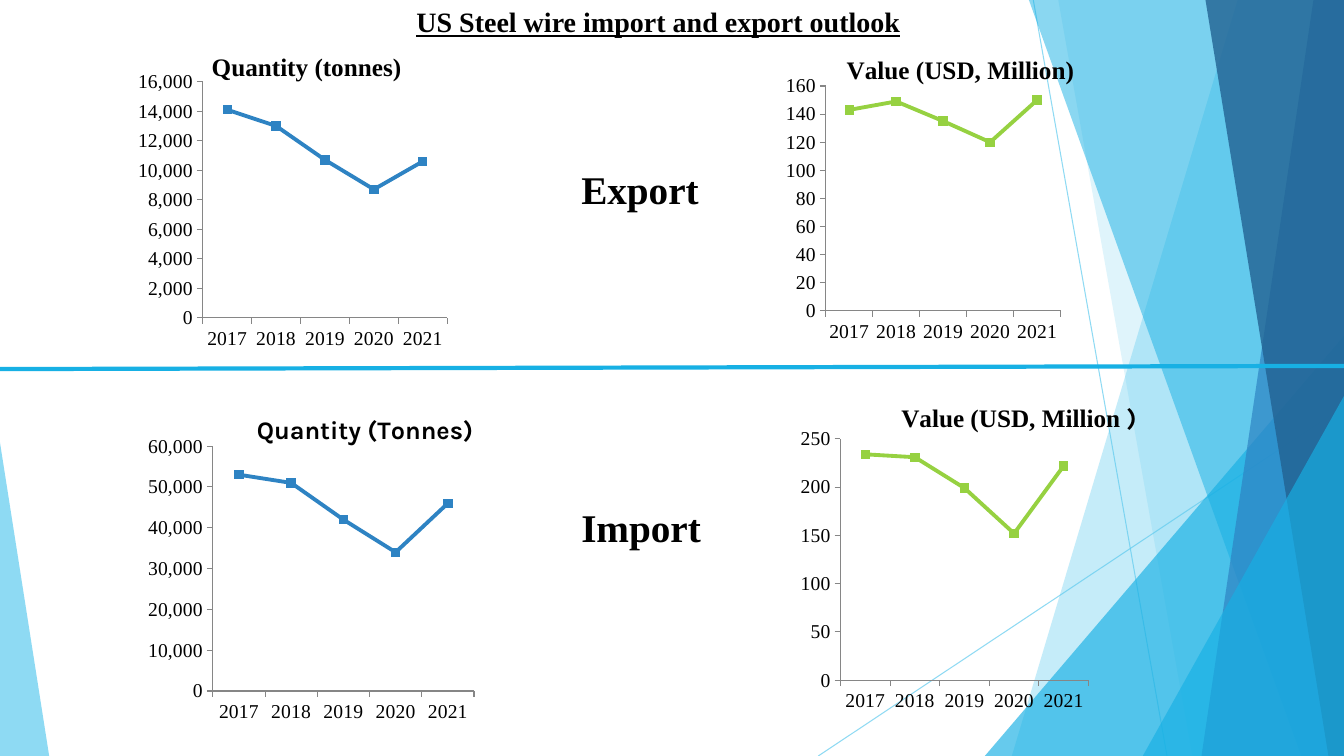
from lxml import etree
from pptx import Presentation, util as u
from pptx.chart import data as chart_data
from pptx.dml import color
from pptx.enum import chart as chart_enum, shapes, text
from pptx.oxml import ns, parse_xml

WIDTH, HEIGHT = 33.87, 19.05
COLORS = {"sky": "5FCBEF", "cyan": "17B0E4", "blue": "2E83C3", "navy": "226292",
          "green": "96D141", "black": "000000", "axis": "868686"}
SERIF, SANS = "Times New Roman", "Karla"
YEARS = ["2017", "2018", "2019", "2020", "2021"]


def rgb(name):
    """Return the palette colour with this name."""
    return color.RGBColor.from_string(COLORS[name])


def assign(target, values):
    """Set every attribute listed in a dict of format values."""
    for name, value in values.items():
        setattr(target, name, value)


class SlidePainter:
    """Hold the text style and the current slide, and draw each kind of element."""

    def __init__(self, slide):
        """Keep the slide and the default font style."""
        self.slide = slide
        self.style = {"name": SERIF, "bold": True}

    def font(self, font, **values):
        """Apply the style, with changes, in black."""
        assign(font, {**self.style, **values})
        font.color.rgb = rgb("black")

    def fade(self, fill, opacity):
        """Make a solid fill partly transparent."""
        for paint in fill.iter(ns.qn("a:srgbClr")):
            etree.SubElement(paint, ns.qn("a:alpha"), val=str(opacity * 1000))

    def paint(self, shape, fill, opacity):
        """Give a decorative shape a translucent fill and no outline."""
        shape.shadow.inherit = False
        shape.fill.solid()
        shape.fill.fore_color.rgb = rgb(fill)
        shape.line.fill.background()
        self.fade(shape.element.spPr, opacity)

    def line(self, start, end, stroke, points, opacity=100):
        """Draw a straight line."""
        ends = [u.Cm(value) for value in (*start, *end)]
        line = self.slide.shapes.add_connector(shapes.MSO_CONNECTOR.STRAIGHT, *ends)
        line.line.width = u.Pt(points)
        line.line.color.rgb = rgb(stroke)
        properties = line.element.spPr
        if opacity < 100:
            self.fade(properties, opacity)
        etree.SubElement(properties, ns.qn("a:effectLst"))

    def band(self, top_left, bottom_left, fill, opacity):
        """Draw a full-height band that reaches the right edge."""
        corners = [(WIDTH, 0), (WIDTH, HEIGHT), (bottom_left, HEIGHT)]
        builder = self.slide.shapes.build_freeform(u.Cm(top_left), 0)
        builder.add_line_segments([(u.Cm(x), u.Cm(y)) for x, y in corners])
        self.paint(builder.convert_to_shape(), fill, opacity)

    def triangle(self, left, top, right, apex, fill, opacity):
        """Draw a triangle standing on the bottom edge."""
        box = [u.Cm(v) for v in (left, top, right - left, HEIGHT - top)]
        shape = self.slide.shapes.add_shape(shapes.MSO_SHAPE.ISOSCELES_TRIANGLE, *box)
        shape.adjustments[0] = apex
        self.paint(shape, fill, opacity)

    def text(self, box, words, size, align=text.PP_ALIGN.LEFT, **values):
        """Write one bold line of text."""
        frame = self.slide.shapes.add_textbox(*map(u.Cm, box)).text_frame
        assign(frame, {"word_wrap": True,
                       "auto_size": text.MSO_AUTO_SIZE.SHAPE_TO_FIT_TEXT})
        paragraph = frame.paragraphs[0]
        paragraph.alignment = align
        run = paragraph.add_run()
        run.text = words
        self.font(run.font, size=u.Pt(size), **values)

    def plot_layout(self, chart, layout):
        """Fix the inner plot area and clear the chart background."""
        area = chart.element.find(".//" + ns.qn("c:plotArea"))
        for old in area.findall(ns.qn("c:layout")):
            area.remove(old)
        parts = [("layoutTarget", "inner"), ("xMode", "edge"), ("yMode", "edge"),
                 *zip("xywh", layout)]
        inner = "".join(f'<c:{tag} val="{value}"/>' for tag, value in parts)
        area.insert(0, parse_xml(f'<c:layout {ns.nsdecls("c")}><c:manualLayout>'
                                 f'{inner}</c:manualLayout></c:layout>'))
        chart.element.find(ns.qn("c:chart")).addnext(parse_xml(
            f'<c:spPr {ns.nsdecls("c", "a")}><a:noFill/>'
            '<a:ln><a:noFill/></a:ln></c:spPr>'))

    def axis(self, axis):
        """Format one axis."""
        assign(axis, {"has_major_gridlines": False,
                      "major_tick_mark": chart_enum.XL_TICK_MARK.OUTSIDE})
        axis.format.line.color.rgb = rgb("axis")
        self.font(axis.tick_labels.font, size=u.Pt(14), bold=False)

    def chart(self, box, title, series_name, values, scale, stroke, layout,
              number_format="#,##0"):
        """Draw a line chart with a title made of (words, font) pieces."""
        data = chart_data.CategoryChartData()
        data.categories = YEARS
        data.add_series(series_name, values)
        chart = self.slide.shapes.add_chart(
            chart_enum.XL_CHART_TYPE.LINE_MARKERS, *map(u.Cm, box), data).chart
        chart.has_legend = False
        self.font(chart.font, name=SANS, size=u.Pt(18), bold=False)
        paragraph = chart.chart_title.text_frame.paragraphs[0]
        for words, face in title:
            run = paragraph.add_run()
            run.text = words
            self.font(run.font, name=face, size=u.Pt(18))
        self.axis(chart.category_axis)
        self.axis(chart.value_axis)
        maximum, step = scale
        assign(chart.value_axis, {"minimum_scale": 0, "maximum_scale": maximum,
                                  "major_unit": step})
        assign(chart.value_axis.tick_labels, {"number_format": number_format,
                                              "number_format_is_linked": False})
        plot = chart.plots[0]
        plot.vary_by_categories = False
        series = plot.series[0]
        series.smooth = False
        series.format.line.width = u.Pt(2.75)
        series.format.line.color.rgb = rgb(stroke)
        marker = series.marker
        assign(marker, {"style": chart_enum.XL_MARKER_STYLE.SQUARE, "size": 6})
        marker.format.fill.solid()
        marker.format.fill.fore_color.rgb = rgb(stroke)
        marker.format.line.fill.background()
        self.plot_layout(chart, layout)


def main():
    """Build the trade outlook slide."""
    presentation = Presentation()
    assign(presentation, {"slide_width": u.Cm(WIDTH), "slide_height": u.Cm(HEIGHT)})
    painter = SlidePainter(presentation.slides.add_slide(presentation.slide_layouts[6]))

    painter.line((26.04, 0), (29.41, HEIGHT), "sky", 0.75, 70)
    painter.line((WIDTH, 10.24), (20.62, HEIGHT), "sky", 0.75, 70)
    painter.band(31.19, 25.5, "sky", 36)
    painter.band(26.67, 30.05, "sky", 20)
    painter.triangle(24.82, 8.46, WIDTH, 1, "cyan", 66)
    painter.band(25.93, 32.79, "cyan", 50)
    painter.band(33.1, 30.28, "blue", 70)
    painter.band(30.38, 33.48, "navy", 80)
    painter.triangle(28.8, 9.98, WIDTH, 1, "cyan", 66)
    painter.triangle(0, 11.15, 1.24, 0, "sky", 70)

    painter.text((9.7, 0, 13.79, 1.88), "US Steel wire import and export outlook", 20,
                 text.PP_ALIGN.CENTER, underline=True)
    painter.line((WIDTH, 9.22), (0, 9.3), "cyan", 3)

    painter.chart((3.28, 0.89, 8.89, 8.2), [("Quantity (tonnes)", SERIF)],
                  "Quantity (tonnes)", (14100, 13000, 10700, 8700, 10600),
                  (16000, 2000), "blue", (0.206, 0.143, 0.693, 0.725))
    painter.chart((19.76, 0.94, 8.89, 8.59), [("Value (USD, Million)", SERIF)],
                  "Series 1", (143, 149, 135, 120, 150),
                  (160, 20), "green", (0.118, 0.143, 0.666, 0.66))
    painter.text((14.4, 4.04, 5.74, 1.45), "Export", 28)
    painter.chart((3.28, 9.98, 11.84, 8.84), [("Quantity (Tonnes)", SANS)],
                  "Quantity (Tonnes)", (53000, 51000, 42000, 34000, 46000),
                  (60000, 10000), "blue", (0.176, 0.143, 0.556, 0.698))
    painter.chart((19.76, 9.73, 11.84, 9.3),
                  [("Value (USD, Million ", SERIF), (")", SANS)],
                  "Series 1", (234, 231, 199, 152, 222),
                  (250, 50), "green", (0.12, 0.143, 0.528, 0.654), "General")
    painter.text((14.4, 12.55, 6.35, 1.45), "Import", 28)
    presentation.save("out.pptx")


if __name__ == "__main__":
    main()
